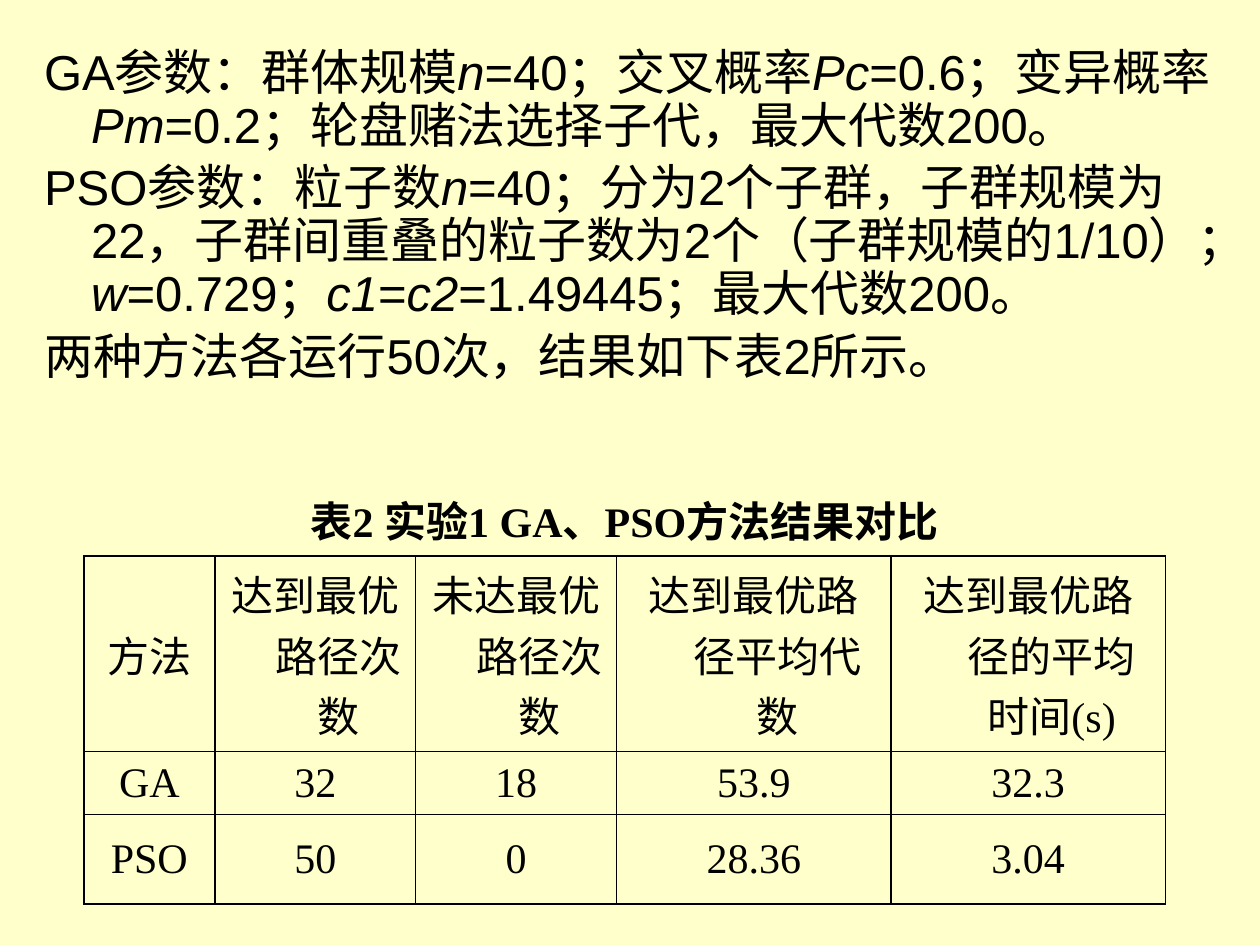
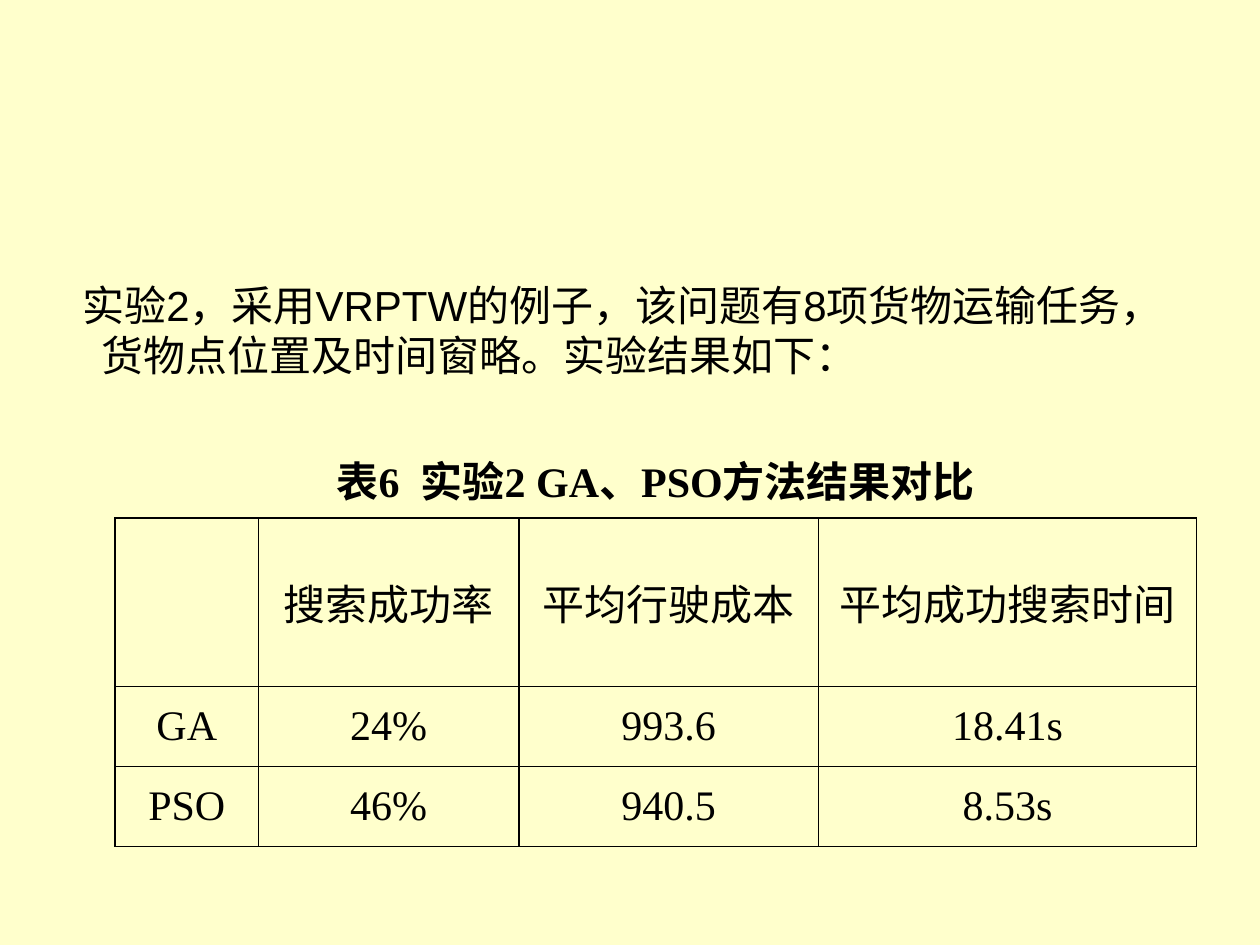
from itertools import product

from lxml.etree import SubElement
from pptx import Presentation
from pptx.dml.color import RGBColor
from pptx.enum.text import MSO_ANCHOR, PP_ALIGN
from pptx.oxml.ns import qn
from pptx.util import Cm, Pt

PAPER, INK = "FFFFCC", "000000"
SANS, SERIF = "Arial", "Times New Roman"
HANG = 0.95

PARAMS = [
    "GA参数：群体规模*n*=40；交叉概率*Pc*=0.6；变异概率*Pm*=0.2；"
    "轮盘赌法选择子代，最大代数200。",
    "PSO参数：粒子数*n*=40；分为2个子群，子群规模为22，子群间重叠的粒子数为2个"
    "（子群规模的1/10）；*w*=0.729；*c1*=*c2*=1.49445；最大代数200。",
    "两种方法各运行50次，结果如下表2所示。",
]
TASK = ["实验2，采用VRPTW的例子，该问题有8项货物运输任务，"
        "货物点位置及时间窗略。实验结果如下："]
ROUTES = [
    ["方法", "达到最优路径次数", "未达最优路径次数",
     "达到最优路径平均代数", "达到最优路径的平均时间(s)"],
    ["GA", "32", "18", "53.9", "32.3"],
    ["PSO", "50", "0", "28.36", "3.04"],
]
COSTS = [
    ["", "搜索成功率", "平均行驶成本", "平均成功搜索时间"],
    ["GA", "24%", "993.6", "18.41s"],
    ["PSO", "46%", "940.5", "8.53s"],
]


def color(code):
    return RGBColor.from_string(code)


def style(run, font, size, bold=False, italic=False):
    run.font.name, run.font.size = font, Pt(size)
    run.font.bold, run.font.italic = bold, italic
    run.font.color.rgb = color(INK)


def hang(para, first=-HANG):
    props = para._p.get_or_add_pPr()
    props.set("marL", str(Cm(HANG)))
    props.set("indent", str(Cm(first)))


def add_page(deck):
    page = deck.slides.add_slide(deck.slide_layouts[6])
    page.background.fill.solid()
    page.background.fill.fore_color.rgb = color(PAPER)
    return page


def add_body(page, box, texts, size, spacing=1.0, first=-HANG):
    """Write hanging paragraphs; parts between asterisks are italic."""
    frame = page.shapes.add_textbox(*map(Cm, box)).text_frame
    frame.word_wrap = True
    for row, text in enumerate(texts):
        para = frame.paragraphs[0] if row == 0 else frame.add_paragraph()
        hang(para, first)
        para.line_spacing = spacing
        para.space_before = Pt(size * 0.2)
        for turn, part in enumerate(text.split("*")):
            run = para.add_run()
            run.text = part
            style(run, SANS, size, italic=turn % 2 == 1)


def set_edges(cell, sides):
    """Draw the named sides of a cell and clear the others."""
    props = cell._tc.get_or_add_tcPr()
    for spot, side in enumerate("LRTB"):
        line = props.makeelement(qn(f"a:ln{side}"), {"w": str(Pt(1))})
        props.insert(spot, line)
        if side in sides:
            fill = SubElement(line, qn("a:solidFill"))
            SubElement(fill, qn("a:srgbClr"), val=INK)
        else:
            SubElement(line, qn("a:noFill"))


def fill_cell(cell, text, bold):
    cell.fill.background()
    cell.vertical_anchor = MSO_ANCHOR.MIDDLE
    para = cell.text_frame.paragraphs[0]
    para.text = text
    para.alignment = PP_ALIGN.CENTER
    hang(para)
    for run in para.runs:
        style(run, SERIF, 24, bold)


def add_results(page, spot, title, data, widths, heights):
    """Place a result table whose merged top row is its title."""
    rows, cols = len(heights), len(widths)
    box = (*spot, sum(widths), sum(heights))
    table = page.shapes.add_table(rows, cols, *map(Cm, box)).table
    table.first_row = table.horz_banding = False
    for col, width in zip(table.columns, widths):
        col.width = Cm(width)
    for row, height in zip(table.rows, heights):
        row.height = Cm(height)
    table.cell(0, 0).merge(table.cell(0, cols - 1))
    grid = [[title] + [""] * (cols - 1)] + data
    for r, c in product(range(rows), range(cols)):
        cell = table.cell(r, c)
        fill_cell(cell, grid[r][c], bold=r == 0)
        set_edges(cell, "LRTB" if r else "B")


def add_routes(deck):
    page = add_page(deck)
    add_body(page, (0.64, 0.84, 24.13, 7.82), PARAMS, 28, spacing=0.9)
    add_results(page, (1.69, 9.73),
                "表2 实验1 GA、PSO方法结果对比", ROUTES,
                [2.64, 4.05, 4.05, 5.53, 5.53], [1.48, 3.94, 1.19, 1.8])


def add_costs(deck):
    page = add_page(deck)
    add_body(page, (0.84, 5.51, 23, 2.18), TASK, 24, first=-0.38)
    add_results(page, (2.32, 8.89),
                "表6  实验2 GA、PSO方法结果对比", COSTS,
                [2.89, 5.25, 6.04, 7.62], [1.55, 3.4, 1.61, 1.61])


def main():
    deck = Presentation()
    deck.slide_width, deck.slide_height = Cm(25.4), Cm(19.05)
    add_routes(deck)
    add_costs(deck)
    deck.save("out.pptx")


if __name__ == "__main__":
    main()
